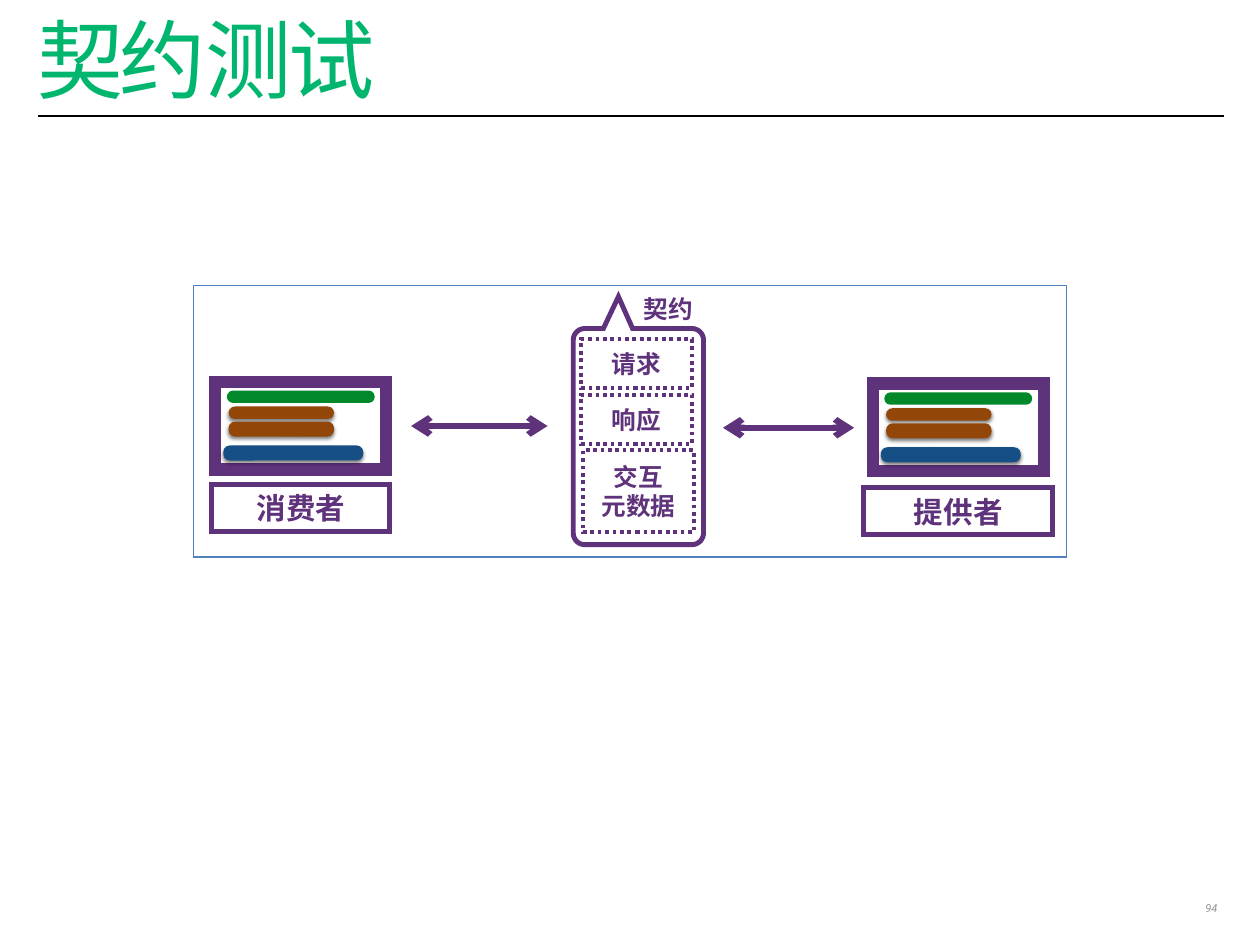
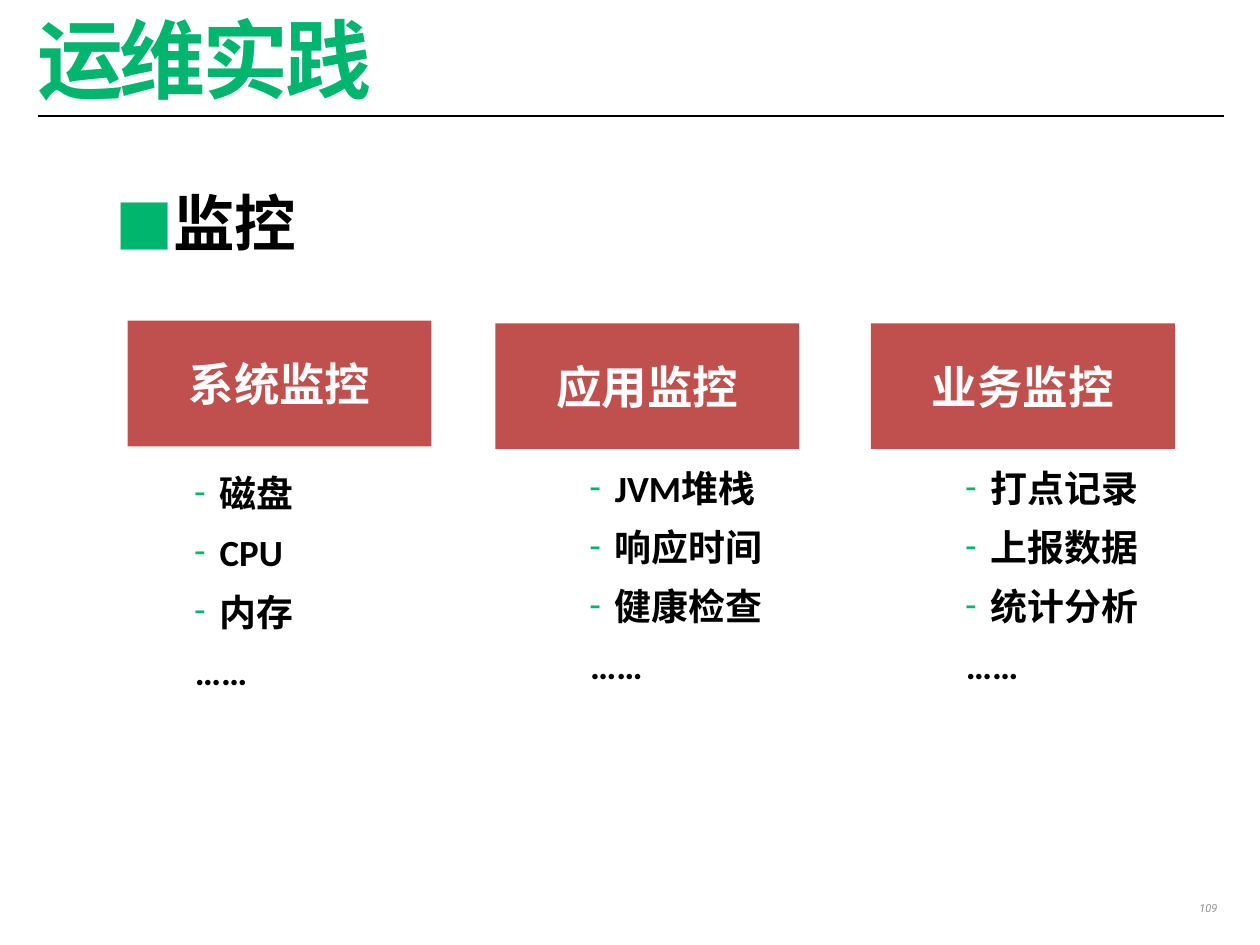
"""Build two slides on contract testing and operations monitoring."""
import math
from dataclasses import dataclass

import lxml.etree
import pptx
import pptx.dml.color
import pptx.enum.dml
import pptx.enum.shapes
import pptx.enum.text
import pptx.oxml.ns
import pptx.util

Inches = pptx.util.Inches
Pt = pptx.util.Pt
qn = pptx.oxml.ns.qn
SHAPES = pptx.enum.shapes.MSO_SHAPE
ALIGN = pptx.enum.text.PP_ALIGN
ANCHOR = pptx.enum.text.MSO_ANCHOR


@dataclass(frozen=True)
class Theme:
    green: str = "00B56E"
    purple: str = "5F327C"
    red: str = "C0504D"
    frame_blue: str = "4F81BD"
    bar_green: str = "00882B"
    bar_brown: str = "924607"
    bar_blue: str = "164F86"
    gray: str = "929396"
    black: str = "000000"
    white: str = "FFFFFF"
    main_font: str = "Roboto"
    second_font: str = "Calibri"
    title_size: int = 70
    topic_size: int = 50
    pillar_size: int = 37
    list_size: int = 30
    role_size: int = 24
    part_size: int = 20
    number_size: int = 9


THEME = Theme()

SCREEN_BARS = (
    (0.15, 0.28, 1.19, 0.14, THEME.bar_brown, 0.5, True),
    (0.13, 0.1, 1.67, 0.14, THEME.bar_green, 0.5, False),
    (0.15, 0.45, 1.19, 0.17, THEME.bar_brown, 0.44, True),
    (0.09, 0.72, 1.58, 0.17, THEME.bar_blue, 0.44, True),
)
ROLES = (("消费者", 2.39, 5.47, 2.01), ("提供者", 9.75, 5.51, 2.13))
EXCHANGES = ((4.64, 6.18, 4.81), (8.16, 9.64, 4.83))
CONTRACT_PARTS = (
    ("请求", 6.56, 3.83, 0.55),
    ("响应", 6.56, 4.46, 0.55),
    ("交互\n元数据", 6.58, 5.08, 0.93),
)
SCREENS = ((9.85, 4.33), (2.43, 4.31))
PILLARS = (
    ("系统监控", 1.44, 3.62, 0.71, 1.65, ("磁盘", "CPU", "内存")),
    ("应用监控", 5.59, 3.65, 1.02, 1.56, ("JVM堆栈", "响应时间", "健康检查")),
    ("业务监控", 9.83, 3.65, 1.02, 1.56, ("打点记录", "上报数据", "统计分析")),
)


def rgb(color):
    return pptx.dml.color.RGBColor.from_string(color)


def add_xml(parent, tag, **attributes):
    return lxml.etree.SubElement(parent, qn(tag), **attributes)


def write(paragraph, text, *, size, color=THEME.black, font=THEME.main_font,
          bold=False, italic=False, spacing=None):
    run = paragraph.add_run()
    run.text = text
    run.font.name = font
    run.font.size = Pt(size)
    run.font.bold = bold
    run.font.italic = italic
    run.font.color.rgb = rgb(color)
    if spacing is not None:
        run.font._element.set("spc", str(round(spacing * 100)))


def set_bullet(paragraph, character, indent):
    properties = paragraph._p.get_or_add_pPr()
    properties.set("marL", str(Inches(indent)))
    properties.set("indent", str(-Inches(indent)))
    add_xml(add_xml(properties, "a:buClr"), "a:srgbClr", val=THEME.green)
    add_xml(properties, "a:buFont", typeface=THEME.main_font)
    add_xml(properties, "a:buChar", char=character)


def corner_arc(center_x, center_y, radius, start, sweep=90, steps=9):
    angles = [math.radians(start + sweep * step / steps) for step in range(steps + 1)]
    return [(center_x + radius * math.cos(angle), center_y - radius * math.sin(angle))
            for angle in angles]


class Deck:
    def __init__(self):
        self.presentation = pptx.Presentation()
        self.presentation.slide_width = Inches(14.22)
        self.presentation.slide_height = Inches(10.67)
        self.slide = None

    def start_slide(self, title_runs, number, bold=False):
        layout = self.presentation.slide_layouts[6]
        self.slide = self.presentation.slides.add_slide(layout)
        self.line((0.43, 1.31), (13.81, 1.31), THEME.black, 1)
        title = self.text_area(0.42, 0.26, 13.39, 1.08, inset=0, anchor=ANCHOR.MIDDLE)
        heading = title.paragraphs[0]
        heading.line_spacing = 0.7
        for text, font in title_runs:
            write(heading, text, size=THEME.title_size, color=THEME.green,
                  font=font, bold=bold, spacing=-2.8)
        footer = self.text_area(13.2, 10.12, 0.6, 0.32, inset=0.06).paragraphs[0]
        footer.alignment = ALIGN.RIGHT
        write(footer, number, size=THEME.number_size, color=THEME.gray, italic=True)

    def prepare(self, frame, inset, anchor):
        frame.word_wrap = True
        frame.vertical_anchor = anchor
        frame.margin_left = frame.margin_right = Inches(inset)
        frame.margin_top = frame.margin_bottom = Inches(inset)
        return frame

    def text_area(self, x, y, width, height, inset=0.05, anchor=ANCHOR.TOP):
        area = self.slide.shapes.add_textbox(
            Inches(x), Inches(y), Inches(width), Inches(height))
        return self.prepare(area.text_frame, inset, anchor)

    def paint(self, shape, fill=None, line=None, weight=1, dash=None):
        shape.shadow.inherit = False
        if fill:
            shape.fill.solid()
            shape.fill.fore_color.rgb = rgb(fill)
        else:
            shape.fill.background()
        if line:
            shape.line.color.rgb = rgb(line)
            shape.line.width = Pt(weight)
            if dash:
                shape.line.dash_style = dash
            add_xml(shape.line._get_or_add_ln(), "a:miter", lim="800000")
        else:
            shape.line.fill.background()

    def box(self, x, y, width, height, kind=SHAPES.RECTANGLE, **paint):
        shape = self.slide.shapes.add_shape(
            kind, Inches(x), Inches(y), Inches(width), Inches(height))
        self.paint(shape, **paint)
        return shape

    def label(self, shape, text, inset=0.06, **style):
        frame = self.prepare(shape.text_frame, inset, ANCHOR.MIDDLE)
        for index, row in enumerate(text.split("\n")):
            paragraph = frame.add_paragraph() if index else frame.paragraphs[0]
            paragraph.alignment = ALIGN.CENTER
            write(paragraph, row, bold=True, **style)

    def line(self, start, end, color, weight, arrows=False):
        connector = self.slide.shapes.add_connector(
            pptx.enum.shapes.MSO_CONNECTOR.STRAIGHT,
            *(Inches(value) for value in (*start, *end)))
        connector.line.color.rgb = rgb(color)
        connector.line.width = Pt(weight)
        if arrows:
            stroke = connector.line._get_or_add_ln()
            for tip in ("a:headEnd", "a:tailEnd"):
                add_xml(stroke, tip, type="arrow")
        add_xml(connector._element.spPr, "a:effectLst")

    def bar(self, x, y, width, height, color, rounding, raised):
        bar = self.box(x, y, width, height, SHAPES.ROUNDED_RECTANGLE, fill=color)
        bar.adjustments[0] = rounding
        if raised:
            effects = bar._element.spPr.find(qn("a:effectLst"))
            shadow = add_xml(effects, "a:outerShdw", blurRad=str(Pt(3)),
                             dist=str(Pt(2)), dir="5400000", rotWithShape="0")
            shade = add_xml(shadow, "a:srgbClr", val=THEME.black)
            add_xml(shade, "a:alpha", val="50000")

    def screen(self, x, y):
        self.box(x, y, 1.93, 0.99, fill=THEME.white, line=THEME.purple, weight=10)
        for dx, dy, *look in SCREEN_BARS:
            self.bar(x + dx, y + dy, *look)

    def callout(self, left, top, right, bottom, radius, tip, base_left, base_right):
        inner_left, inner_right = left + radius, right - radius
        inner_top, inner_bottom = top + radius, bottom - radius
        outline = [
            (base_left, top),
            *corner_arc(inner_left, inner_top, radius, start=90),
            *corner_arc(inner_left, inner_bottom, radius, start=180),
            *corner_arc(inner_right, inner_bottom, radius, start=270),
            *corner_arc(inner_right, inner_top, radius, start=0),
            (base_right, top),
        ]
        builder = self.slide.shapes.build_freeform(*(Inches(value) for value in tip))
        builder.add_line_segments([(Inches(x), Inches(y)) for x, y in outline])
        self.paint(builder.convert_to_shape(), line=THEME.purple, weight=4)

    def bullet_list(self, x, y, entries, closing):
        frame = self.text_area(x, y, 2.4, 2.7)
        for index, entry in enumerate((*entries, closing)):
            paragraph = frame.add_paragraph() if index else frame.paragraphs[0]
            if entry != closing:
                set_bullet(paragraph, "-", 0.28)
            if index:
                paragraph.space_before = Pt(12)
            write(paragraph, entry, size=THEME.list_size, bold=True,
                  font=THEME.second_font)


def contract_testing(deck):
    deck.start_slide((("契约", THEME.main_font), ("测试", THEME.second_font)), "94")
    deck.box(2.18, 3.22, 9.86, 3.07, fill=THEME.white, line=THEME.frame_blue)
    for role, x, y, width in ROLES:
        deck.label(deck.box(x, y, width, 0.53, line=THEME.purple, weight=4), role,
                   size=THEME.role_size, color=THEME.purple)
    for left, right, y in EXCHANGES:
        deck.line((left, y), (right, y), THEME.purple, 5, arrows=True)
    deck.callout(left=6.47, top=3.71, right=7.94, bottom=6.15, radius=0.13,
                 tip=(6.98, 3.35), base_left=6.81, base_right=7.14)
    deck.label(deck.box(7.14, 3.21, 0.8, 0.55), "契约",
               size=THEME.part_size, color=THEME.purple)
    for part, x, y, height in CONTRACT_PARTS:
        dotted = deck.box(x, y, 1.25, height, line=THEME.purple, weight=3,
                          dash=pptx.enum.dml.MSO_LINE.ROUND_DOT)
        deck.label(dotted, part, size=THEME.part_size, color=THEME.purple)
    for x, y in SCREENS:
        deck.screen(x, y)


def operations_practice(deck):
    deck.start_slide((("运维实践", THEME.main_font),), "109", bold=True)
    topic = deck.text_area(1.25, 2.04, 2.4, 0.79).paragraphs[0]
    set_bullet(topic, "■", 0.45)
    write(topic, "监控", size=THEME.topic_size, bold=True)
    for heading, x, y, list_dx, list_dy, entries in PILLARS:
        deck.label(deck.box(x, y, 3.43, 1.42, fill=THEME.red), heading, inset=0.07,
                   size=THEME.pillar_size, color=THEME.white, font=THEME.second_font)
        deck.bullet_list(x + list_dx, y + list_dy, entries, closing="……")


def main():
    deck = Deck()
    contract_testing(deck)
    operations_practice(deck)
    deck.presentation.save("out.pptx")


if __name__ == "__main__":
    main()
